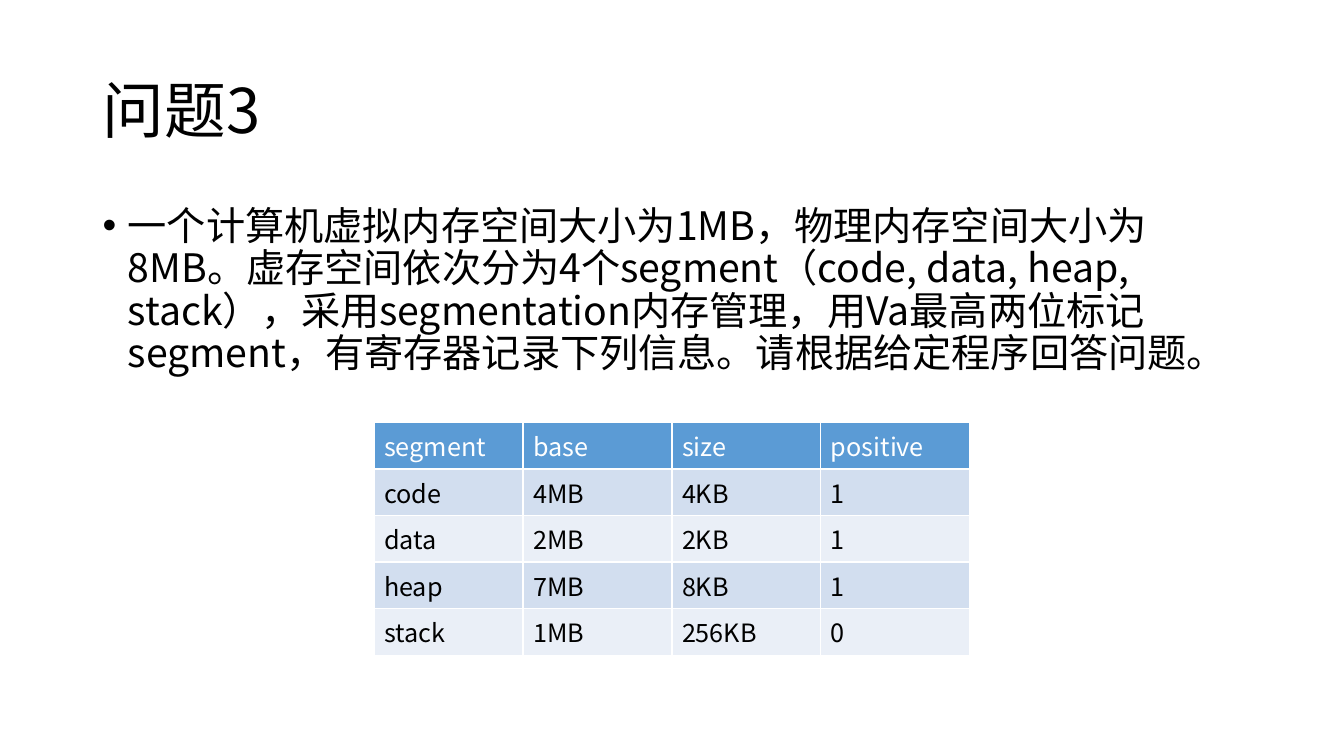
from lxml.etree import SubElement
from pptx import Presentation
from pptx.dml.color import RGBColor
from pptx.enum.text import MSO_ANCHOR, MSO_AUTO_SIZE, PP_ALIGN
from pptx.oxml.ns import qn
from pptx.util import Inches, Pt

FONT = "Noto Sans CJK SC"


def color(hex_code):
    return RGBColor.from_string(hex_code)


def add_run(paragraph, text, size, hex_code):
    run = paragraph.add_run()
    run.text = text
    run.font.size = Pt(size)
    run.font.bold = False
    run.font.name = FONT
    run.font.color.rgb = color(hex_code)
    SubElement(run.font._element, qn("a:ea"), typeface=FONT)


deck = Presentation()
deck.slide_width = Inches(13.33)
deck.slide_height = Inches(7.5)
slide = deck.slides.add_slide(deck.slide_layouts[5])

heading = slide.shapes.title
heading.left, heading.top = Inches(0.92), Inches(0.4)
heading.width, heading.height = Inches(11.5), Inches(1.45)
heading.text_frame.auto_size = MSO_AUTO_SIZE.NONE
heading.text_frame.vertical_anchor = MSO_ANCHOR.MIDDLE
heading_line = heading.text_frame.paragraphs[0]
heading_line.alignment = PP_ALIGN.LEFT
heading_line.line_spacing = 0.9
add_run(heading_line, "问题3", 44, "000000")

question = slide.shapes.add_textbox(Inches(0.92), Inches(2), Inches(11.5), Inches(4.76))
question.text_frame.word_wrap = True
question_line = question.text_frame.paragraphs[0]
question_line.line_spacing = 0.9
question_line.space_before = Pt(10)
bullet = question_line._p.get_or_add_pPr()
bullet.set("marL", str(Inches(0.25)))
bullet.set("indent", str(Inches(-0.25)))
SubElement(bullet, qn("a:buFont"), typeface="Arial")
SubElement(bullet, qn("a:buChar"), char="•")
add_run(
    question_line,
    "一个计算机虚拟内存空间大小为1MB，物理内存空间大小为8MB。"
    "虚存空间依次分为4个segment（code, data, heap, stack），"
    "采用segmentation内存管理，用Va最高两位标记segment，"
    "有寄存器记录下列信息。请根据给定程序回答问题。",
    28,
    "000000",
)

segments = [
    ["segment", "base", "size", "positive"],
    ["code", "4MB", "4KB", "1"],
    ["data", "2MB", "2KB", "1"],
    ["heap", "7MB", "8KB", "1"],
    ["stack", "1MB", "256KB", "0"],
]
registers = slide.shapes.add_table(
    len(segments), len(segments[0]), Inches(3.71), Inches(4.19), Inches(5.91), Inches(2.31)
).table
for row_index, segment in enumerate(segments):
    if row_index == 0:
        fill, ink = "5B9BD5", "FFFFFF"
    else:
        fill, ink = ("D2DEEF" if row_index % 2 else "EAEFF7"), "000000"
    for column_index, value in enumerate(segment):
        cell = registers.cell(row_index, column_index)
        cell.fill.solid()
        cell.fill.fore_color.rgb = color(fill)
        add_run(cell.text_frame.paragraphs[0], value, 18, ink)

deck.save("out.pptx")
